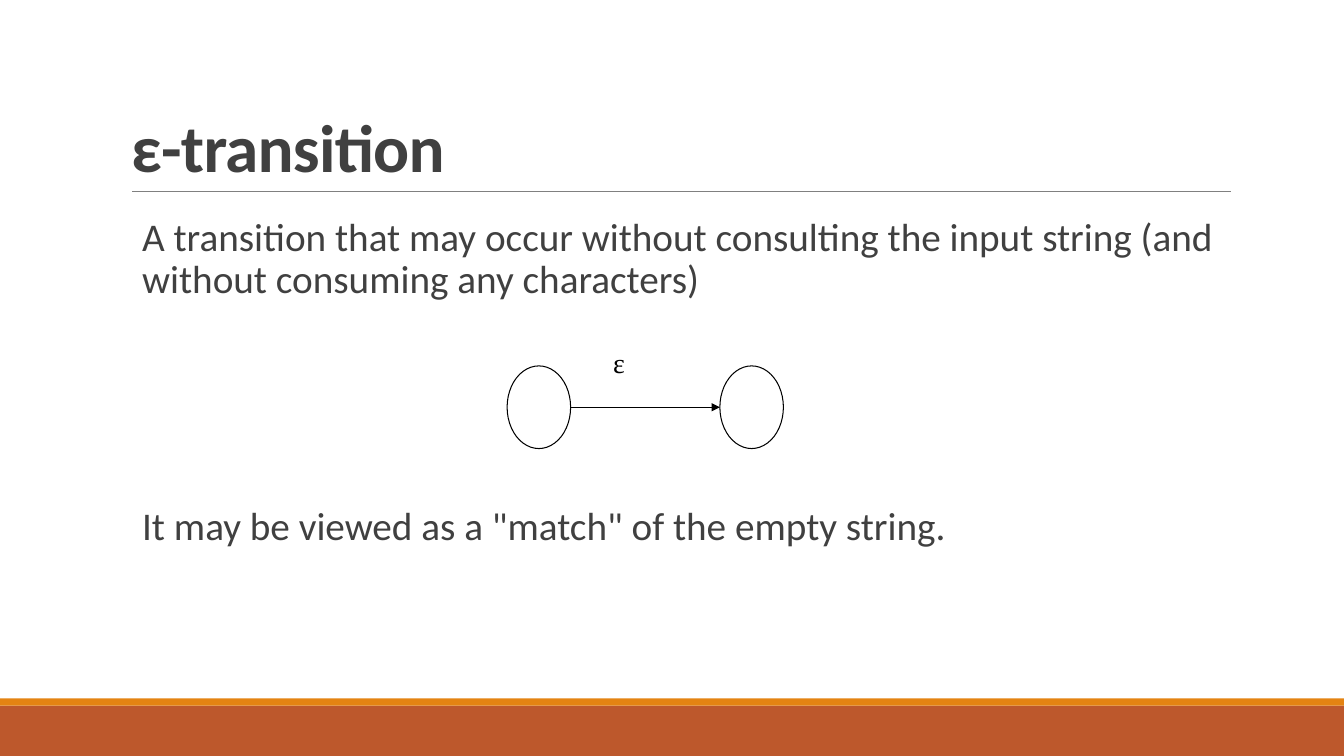
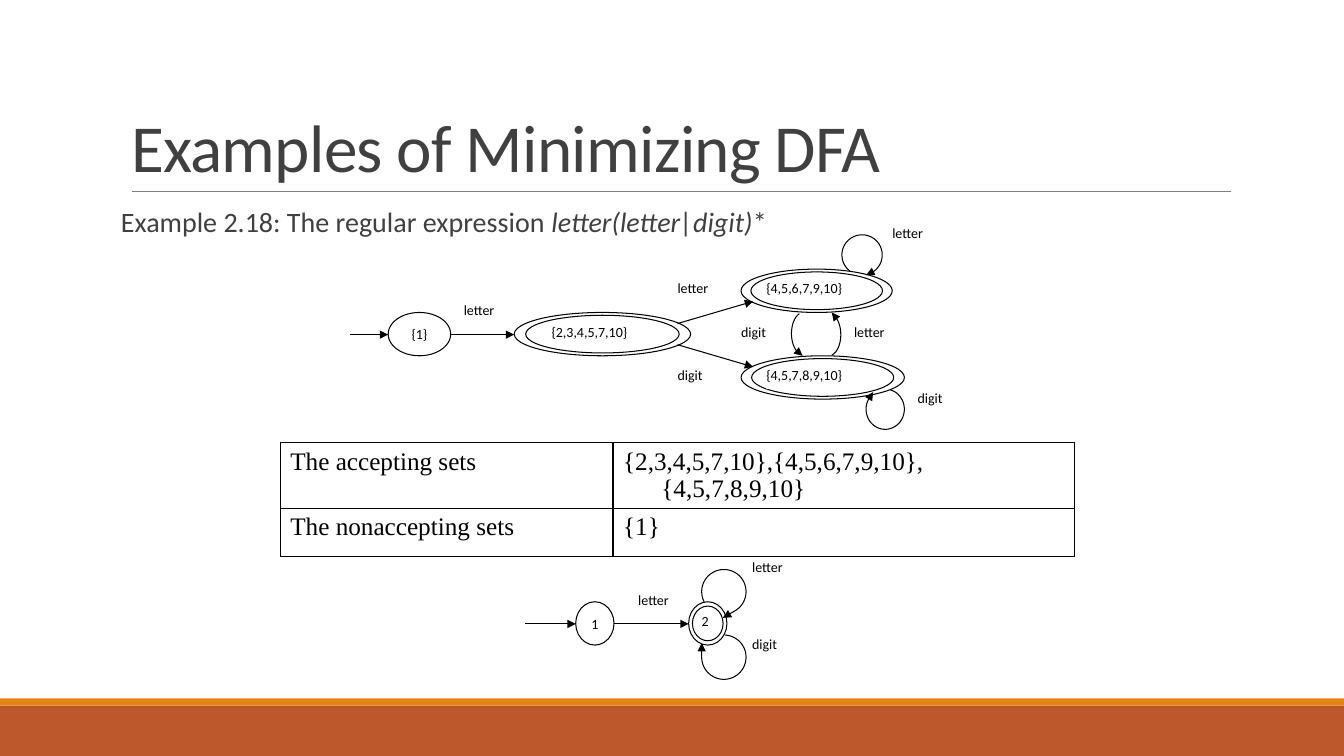
import math
import pptx
import pptx.util
import pptx.dml.color
import pptx.enum.shapes
import pptx.enum.text
import pptx.oxml
import pptx.oxml.ns
from lxml import etree
from pptx.util import Inches

INK, TEXT, WHITE = "000000", "404040", "FFFFFF"
RED, ORANGE, GREY = "BD582C", "E48312", "808080"
SANS, SERIF = "Calibri", "Times New Roman"
SHAPE = pptx.enum.shapes.MSO_SHAPE
ANCHOR = pptx.enum.text.MSO_ANCHOR
ALIGN = pptx.enum.text.PP_ALIGN


def rgb(value):
    return pptx.dml.color.RGBColor.from_string(value)


def sub(parent, tag, **attrs):
    return etree.SubElement(parent, pptx.oxml.ns.qn(tag), attrs)


def box(left, top, width, height):
    return [Inches(v) for v in (left, top, width, height)]


def stroke(shape, color=INK, width=0.75, arrow=False):
    shape.line.color.rgb = rgb(color)
    shape.line.width = pptx.util.Pt(width)
    if arrow:
        sub(shape.element.spPr.find(pptx.oxml.ns.qn("a:ln")), "a:tailEnd", type="triangle")


def add_text(p, text, size=10, font=SANS, color=INK, bold=None, italic=None, spacing=None):
    r = p.add_run()
    r.text = text
    r.font.size = pptx.util.Pt(size)
    r.font.name = font
    r.font.color.rgb = rgb(color)
    r.font.bold = bold
    r.font.italic = italic
    if spacing is not None:
        r.font._element.set("spc", str(spacing))
    return r


def indent(p, margin, first=0):
    pPr = p._p.get_or_add_pPr()
    pPr.set("marL", str(Inches(margin)))
    pPr.set("indent", str(Inches(first)))


def frame(shape, side=0, vertical=0, anchor=ANCHOR.TOP):
    tf = shape.text_frame
    tf.word_wrap = True
    tf.auto_size = pptx.enum.text.MSO_AUTO_SIZE.NONE
    tf.vertical_anchor = anchor
    tf.margin_left = tf.margin_right = Inches(side)
    tf.margin_top = tf.margin_bottom = Inches(vertical)
    return tf


def add_shape(s, kind, place, fill=WHITE, line=None):
    sp = s.shapes.add_shape(kind, *box(*place))
    sp.shadow.inherit = False
    sp.fill.solid()
    sp.fill.fore_color.rgb = rgb(fill)
    if line:
        stroke(sp, line)
    else:
        sp.line.fill.background()
    return sp


def add_line(s, x1, y1, x2, y2, **style):
    c = s.shapes.add_connector(pptx.enum.shapes.MSO_CONNECTOR.STRAIGHT, *box(x1, y1, x2, y2))
    stroke(c, **style)
    sub(c.element.spPr, "a:effectLst")


def add_arc(s, cx, cy, rx, ry, start, end, tip_x, tip_y):
    steps = 40
    angles = [math.radians(start + (end - start) * i / steps) for i in range(steps + 1)]
    points = [(Inches(cx + rx * math.cos(a)), Inches(cy + ry * math.sin(a))) for a in angles]
    points.append((Inches(tip_x), Inches(tip_y)))
    builder = s.shapes.build_freeform(*points[0])
    builder.add_line_segments(points[1:], close=False)
    sp = builder.convert_to_shape()
    sp.shadow.inherit = False
    sp.fill.background()
    stroke(sp, arrow=True)


def add_state(s, x, y, w, h, text="", inner=None):
    sp = add_shape(s, SHAPE.OVAL, (x, y, w, h), line=INK)
    if inner:
        gap = (1 - inner) / 2
        add_shape(s, SHAPE.OVAL, (x + w * gap, y + h * gap, w * inner, h * inner), line=INK)
    if text:
        p = frame(sp, anchor=ANCHOR.MIDDLE).paragraphs[0]
        p.alignment = ALIGN.CENTER
        add_text(p, text)


def add_label(s, x, y, text, w=0.38, h=0.22, **style):
    sp = add_shape(s, SHAPE.RECTANGLE, (x, y, w, h))
    p = frame(sp).paragraphs[0]
    p.alignment = ALIGN.LEFT
    add_text(p, text, **style)


def automaton(s, x, y, states, labels, arrows, arcs=()):
    for dx, dy, *rest in states:
        add_state(s, x + dx, y + dy, *rest)
    for dx, dy, text, *style in labels:
        add_label(s, x + dx, y + dy, text, **(style[0] if style else {}))
    for x1, y1, x2, y2 in arrows:
        add_line(s, x + x1, y + y1, x + x2, y + y2, arrow=True)
    for cx, cy, rx, ry, start, end, tx, ty in arcs:
        add_arc(s, x + cx, y + cy, rx, ry, start, end, x + tx, y + ty)


def base_slide(prs, title, bold=None):
    s = prs.slides.add_slide(prs.slide_layouts[5])
    add_shape(s, SHAPE.RECTANGLE, (0, 7, 13.33, 0.5), RED)
    add_shape(s, SHAPE.RECTANGLE, (0, 6.93, 13.33, 0.07), ORANGE)
    add_line(s, 1.31, 1.9, 12.21, 1.9, color=GREY, width=0.5)
    sp = s.shapes.title
    sp.left, sp.top, sp.width, sp.height = box(1.2, 0.31, 11, 1.59)
    p = frame(sp, 0.1, 0.05, ANCHOR.BOTTOM).paragraphs[0]
    p.alignment = ALIGN.LEFT
    p.line_spacing = 0.85
    add_text(p, title, size=48, color=TEXT, bold=bold, spacing=-50)
    return s


def body(s, place, paragraphs, size, margin=0):
    tf = frame(s.shapes.add_textbox(*box(*place)), 0, 0.05)
    for i, (before, runs) in enumerate(paragraphs):
        p = tf.add_paragraph() if i else tf.paragraphs[0]
        p.line_spacing = 0.9
        p.space_before = pptx.util.Pt(before)
        p.space_after = pptx.util.Pt(2)
        indent(p, margin)
        for text, italic in runs:
            add_text(p, text, size=size, color=TEXT, italic=italic)


def sets_table(s, x, y, rows, widths, heights):
    shape = s.shapes.add_table(len(rows), len(widths), *box(x, y, sum(widths), sum(heights)))
    table = shape.table
    table.first_row = table.horz_banding = False
    for col, width in zip(table.columns, widths):
        col.width = Inches(width)
    for row, height, texts in zip(table.rows, heights, rows):
        row.height = Inches(height)
        for cell, text in zip(row.cells, texts):
            p = cell.text_frame.paragraphs[0]
            indent(p, 0.38, -0.38)
            add_text(p, text, size=18, font=SERIF)
            tcPr = cell._tc.get_or_add_tcPr()
            for side in ("L", "R", "T", "B"):
                ln = sub(tcPr, "a:ln" + side, w=str(pptx.util.Pt(1)))
                sub(sub(ln, "a:solidFill"), "a:srgbClr", val=INK)
            cell.fill.background()


def transition_slide(prs):
    s = base_slide(prs, "ε-transition", bold=True)
    body(s, (1.31, 2.11, 10.89, 4.44), [
        (12, [("A transition that may occur without consulting the input string "
               "(and without consuming any characters)", None)]),
        (144, [('It may be viewed as a "match" of the empty string.', None)]),
    ], size=28, margin=0.1)
    automaton(
        s, 5.03, 3.43,
        states=[(0, 0.2, 0.63, 0.82), (2.11, 0.2, 0.63, 0.82)],
        labels=[(1.05, 0, "ε", dict(w=0.42, h=0.41, size=20, font=SERIF))],
        arrows=[(0.63, 0.61, 2.11, 0.61)])


def minimizing_slide(prs):
    s = base_slide(prs, "Examples of Minimizing DFA")
    body(s, (1.2, 2.02, 11, 4.4), [
        (12, [("Example 2.18: The regular expression ", None),
              ("letter(letter|digit)", True), ("*", False)]),
    ], size=20)
    wide = dict(w=0.88)
    automaton(
        s, 3.47, 2.23,
        states=[
            (0.38, 0.87, 0.62, 0.43, "{1}"),
            (1.63, 0.87, 1.75, 0.43, "", 0.87),
            (3.88, 0.44, 1.5, 0.43, "", 0.87),
            (3.88, 1.3, 1.62, 0.43, "", 0.87)],
        labels=[
            (2, 0.98, "{2,3,4,5,7,10}", wide),
            (4.13, 0.54, "{4,5,6,7,9,10}", wide),
            (4.13, 1.41, "{4,5,7,8,9,10}", wide),
            (1.13, 0.76, "letter"), (3.25, 0.54, "letter"),
            (3.25, 1.41, "digit"), (5, 0.98, "letter"),
            (3.88, 0.98, "digit"), (5.38, 0, "letter"),
            (5.63, 1.63, "digit")],
        arrows=[
            (0, 1.09, 0.38, 1.09), (1, 1.09, 1.63, 1.09),
            (3.25, 0.98, 4, 0.76), (3.25, 1.19, 4, 1.41)],
        arcs=[
            (4.5, 1.08, 0.12, 0.21, 250, 110, 4.49, 1.3),
            (4.75, 1.09, 0.12, 0.21, 75, -65, 4.78, 0.87),
            (5.08, 0.3, 0.2, 0.2, 127, 414, 5.12, 0.5),
            (5.31, 1.83, 0.19, 0.2, -75, 209, 5.19, 1.66)])
    sets_table(s, 2.78, 4.39, [
        ("The accepting sets", "{2,3,4,5,7,10},{4,5,6,7,9,10},{4,5,7,8,9,10}"),
        ("The nonaccepting sets", "{1}"),
    ], widths=(3.3, 4.58), heights=(0.65, 0.48))
    automaton(
        s, 5.21, 5.54,
        states=[
            (0.5, 0.43, 0.38, 0.43, "1"),
            (1.62, 0.43, 0.38, 0.43, "", 0.8)],
        labels=[
            (2.25, 0, "letter"), (2.25, 0.76, "digit"),
            (1.12, 0.33, "letter"), (1.75, 0.54, "2", dict(w=0.12))],
        arrows=[(0, 0.65, 0.5, 0.65), (0.88, 0.65, 1.62, 0.65)],
        arcs=[
            (1.97, 0.33, 0.22, 0.22, 153, 420, 1.96, 0.59),
            (1.97, 0.98, 0.22, 0.22, -87, 180, 1.75, 0.84)])


def main():
    prs = pptx.Presentation()
    prs.slide_width, prs.slide_height = Inches(13.33), Inches(7.5)
    transition_slide(prs)
    minimizing_slide(prs)
    prs.save("out.pptx")


if __name__ == "__main__":
    main()
